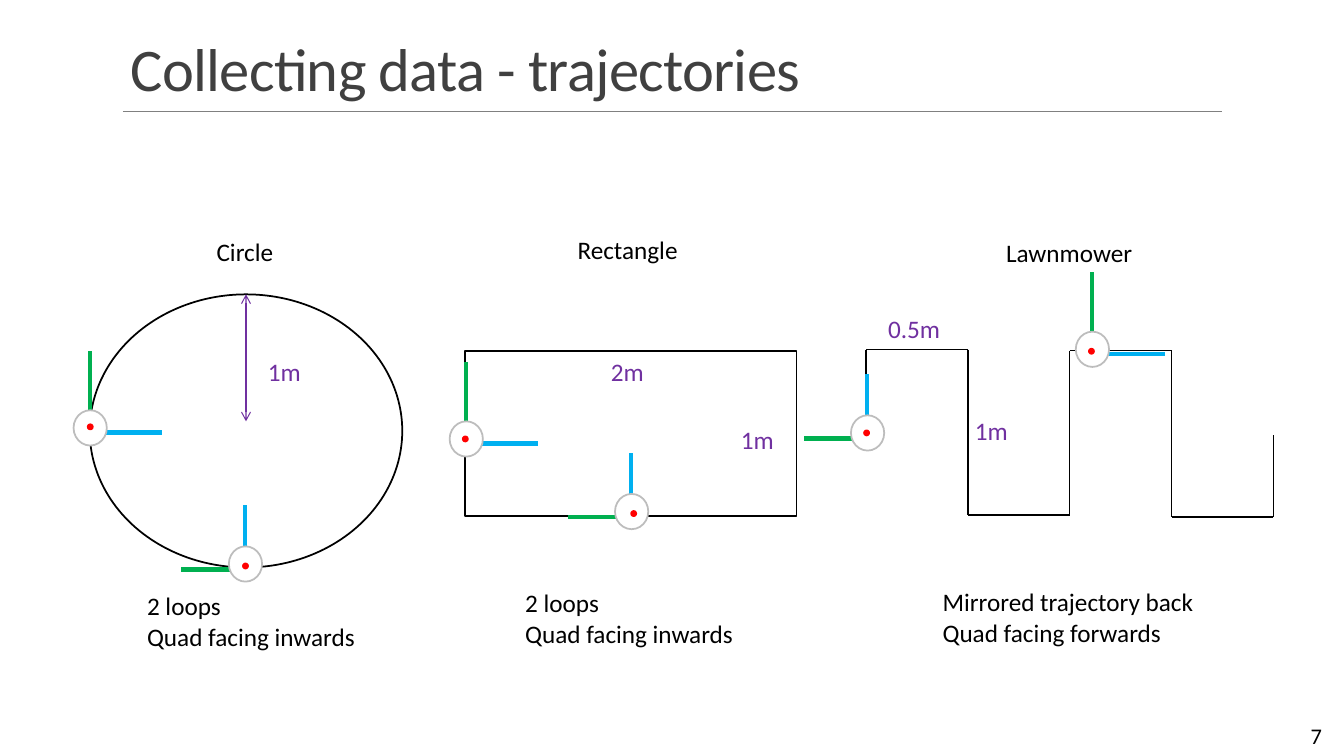
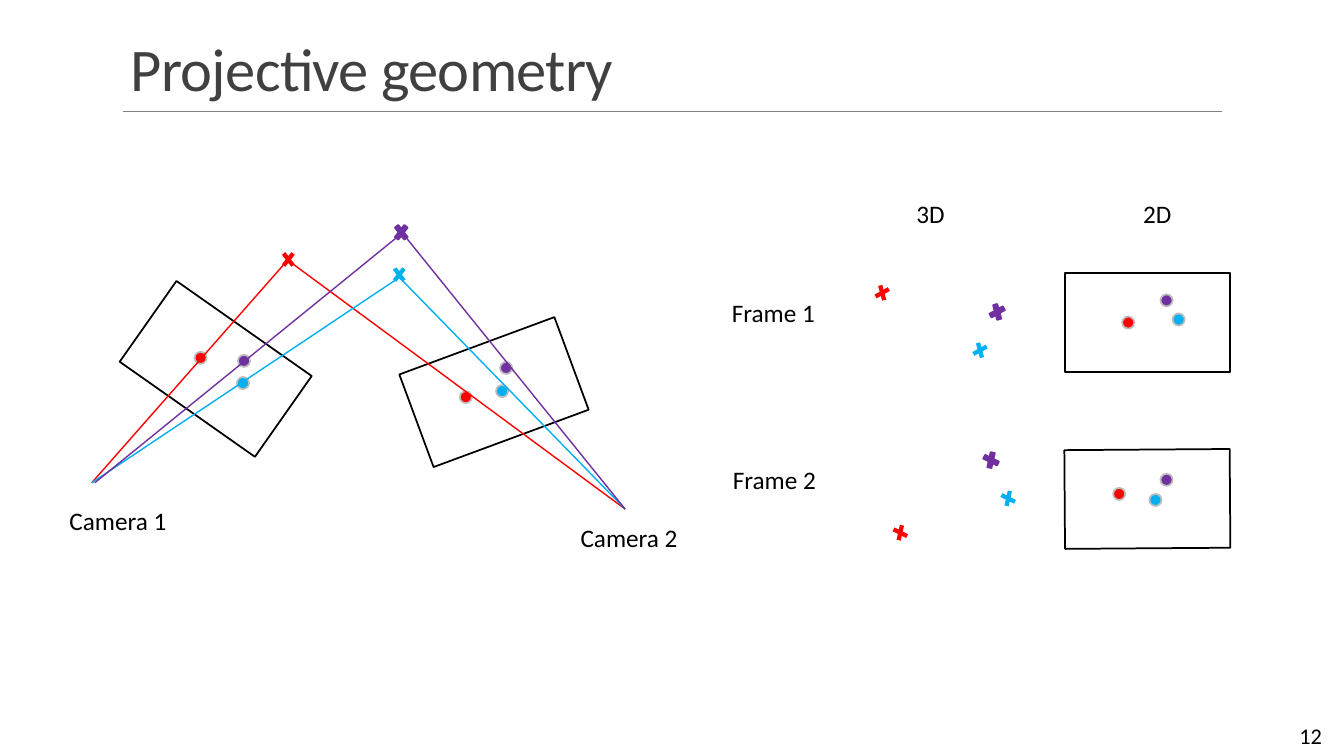
from lxml.etree import SubElement
from pptx import Presentation
from pptx.dml.color import RGBColor
from pptx.enum.shapes import MSO_CONNECTOR, MSO_SHAPE as SHAPE
from pptx.enum.text import MSO_ANCHOR as ANCHOR, MSO_AUTO_SIZE as AUTO_SIZE, PP_ALIGN as ALIGN
from pptx.oxml.ns import qn
from pptx.util import Emu, Pt

PX = 9144  # 100 px to the inch
BLACK = RGBColor(0x00, 0x00, 0x00)
WHITE = RGBColor(0xFF, 0xFF, 0xFF)
TITLE_GREY = RGBColor(0x40, 0x40, 0x40)
RULE_GREY = RGBColor(0x80, 0x80, 0x80)
RIM_GREY = RGBColor(0xBD, 0xBD, 0xBD)
RED = RGBColor(0xFF, 0x00, 0x00)
PURPLE = RGBColor(0x70, 0x30, 0xA0)
BLUE = RGBColor(0x00, 0xB0, 0xF0)
GREEN = RGBColor(0x00, 0xB0, 0x50)
LANDMARK_COLORS = (RED, PURPLE, BLUE)

BODY_FONT = {"name": "Calibri", "size": Pt(18)}
TITLE_FONT = {"name": "Calibri", "size": Pt(43.2)}
NUMBER_FONT = {"name": "Calibri", "size": Pt(16)}
LABEL_FRAME = {"word_wrap": False, "auto_size": AUTO_SIZE.SHAPE_TO_FIT_TEXT}
TITLE_FRAME = {"word_wrap": True, "vertical_anchor": ANCHOR.BOTTOM}
NUMBER_FRAME = {"word_wrap": True, "vertical_anchor": ANCHOR.MIDDLE}


def px(*lengths):
    return [Emu(length * PX) for length in lengths]


def apply(target, values):
    for name, value in values.items():
        setattr(target, name, value)


def add_text(slide, box, lines, color=BLACK, font=BODY_FONT, frame=LABEL_FRAME, **layout):
    """Write one paragraph per line; layout holds paragraph attributes."""
    text_frame = slide.shapes.add_textbox(*px(*box)).text_frame
    apply(text_frame, frame)
    for index, line in enumerate(lines):
        paragraph = text_frame.add_paragraph() if index else text_frame.paragraphs[0]
        apply(paragraph, layout)
        run = paragraph.add_run()
        run.text = line
        apply(run.font, font)
        run.font.color.rgb = color
    return text_frame


def add_figure(slide, kind, box, fill=WHITE, outline=BLACK, rotation=0):
    figure = slide.shapes.add_shape(kind, *px(*box))
    figure.shadow.inherit = False
    figure.rotation = rotation
    figure.fill.solid()
    figure.fill.fore_color.rgb = fill
    if outline is None:
        figure.line.fill.background()
    else:
        figure.line.color.rgb = outline
        figure.line.width = Pt(1.25)
    return figure


def add_line(slide, start, end, color=BLACK, width=1, arrows=False):
    line = slide.shapes.add_connector(MSO_CONNECTOR.STRAIGHT, *px(*start, *end))
    line.line.color.rgb = color
    line.line.width = Pt(width)
    properties = line._element.spPr
    if arrows:
        for tip in ("a:headEnd", "a:tailEnd"):
            SubElement(properties.find(qn("a:ln")), qn(tip), type="arrow")
    SubElement(properties, qn("a:effectLst"))
    return line


def add_base_slide(prs, title, number):
    slide = prs.slides.add_slide(prs.slide_layouts[6])
    add_line(slide, (122, 110), (1212, 110), RULE_GREY, 0.5)
    heading = add_text(slide, (120, 31, 1100, 77), [title], TITLE_GREY, TITLE_FONT,
                       TITLE_FRAME, line_spacing=0.85)
    heading.paragraphs[0].runs[0]._r.get_or_add_rPr().set("spc", "-50")
    add_text(slide, (1178, 710, 143, 40), [str(number)], font=NUMBER_FONT,
             frame=NUMBER_FRAME, alignment=ALIGN.RIGHT)
    return slide


def add_quad(slide, left, top, facing, dot):
    """Draw a quadcopter with its forward (blue) and left (green) axes."""
    x, y = left + 16, top + 23
    if facing == "right":
        green_end, blue_end = (x, y - 82), (x + 72, y - 1)
    else:
        green_end, blue_end = (x - 63, y), (x, y - 64)
    add_line(slide, (x, y), green_end, GREEN, 3)
    add_line(slide, (x, y - 1), blue_end, BLUE, 3)
    add_figure(slide, SHAPE.OVAL, (left, top, 33, 35), outline=RIM_GREY)
    add_figure(slide, SHAPE.OVAL, (*dot, 5, 5), RED, RED)


def add_lawnmower(slide):
    left, step = 859, 101
    turns = (429, 347, 511, 348, 513, 432)
    corners = []
    for column, (start, end) in enumerate(zip(turns, turns[1:])):
        x = left + step * column
        corners += [(x, start), (x, end)]
    for start, end in zip(corners, corners[1:]):
        add_line(slide, start, end)


def add_view(slide, left, top, rotation, dots):
    """Draw an image plane and the landmarks projected onto it."""
    add_figure(slide, SHAPE.RECTANGLE, (left, top, 164, 98), rotation=rotation)
    for dot, color in zip(dots, LANDMARK_COLORS):
        add_figure(slide, SHAPE.OVAL, (*dot, 12, 12), color, RIM_GREY)


def add_landmarks(slide, rotation, places):
    for place, color in zip(places, LANDMARK_COLORS):
        outline = PURPLE if color == PURPLE else None
        add_figure(slide, SHAPE.MATH_MULTIPLY, (*place, 18, 23), color, outline, rotation)


def build_trajectories(prs):
    slide = add_base_slide(prs, "Collecting data - trajectories", 7)
    circle = add_figure(slide, SHAPE.OVAL, (89, 292, 310, 271))
    add_figure(slide, SHAPE.RECTANGLE, (461, 348, 329, 164))
    add_lawnmower(slide)
    radius = add_line(slide, (244, 292), (244, 418), PURPLE, 0.75, arrows=True)
    radius.begin_connect(circle, 0)

    for box, name in (((205, 230, 77, 40), "Circle"),
                      ((563, 228, 121, 40), "Rectangle"),
                      ((988, 231, 147, 40), "Lawnmower")):
        add_text(slide, box, [name])
    for box, *lines in (((136, 581, 229, 71), "2 loops", "Quad facing inwards"),
                        ((511, 578, 229, 71), "2 loops", "Quad facing inwards"),
                        ((925, 577, 271, 71), "Mirrored trajectory back",
                         "Quad facing forwards")):
        add_text(slide, box, lines)
    for box, distance in (((256, 349, 53, 40), "1m"), ((725, 416, 53, 40), "1m"),
                          ((596, 349, 53, 40), "2m"), ((871, 306, 72, 40), "0.5m"),
                          ((957, 407, 53, 40), "1m")):
        add_text(slide, box, [distance], PURPLE)

    for left, top, facing, dot in ((73, 407, "right", (87, 421)),
                                   (446, 418, "right", (459, 433)),
                                   (844, 412, "up", (857, 427)),
                                   (610, 490, "up", (626, 507)),
                                   (227, 542, "up", (241, 559)),
                                   (1067, 329, "right", (1080, 346))):
        add_quad(slide, left, top, facing, dot)


def build_geometry(prs):
    slide = add_base_slide(prs, "Projective geometry", 12)
    for view in ((132, 317, 35.1, ((193, 349), (236, 352), (235, 374))),
                 (408, 340, 339.7, ((456, 388), (496, 359), (492, 382))),
                 (1056, 271, 0, ((1113, 314), (1151, 292), (1163, 311))),
                 (1056, 446, 359.6, ((1104, 484), (1151, 470), (1140, 490)))):
        add_view(slide, *view)
    for rotation, places in ((0, ((277, 246), (389, 219), (387, 261))),
                             (22.8, ((866, 279), (980, 298), (963, 336))),
                             (334.5, ((884, 517), (974, 445), (991, 483)))):
        add_landmarks(slide, rotation, places)

    camera_2 = (620, 505)
    for color, to_left, camera_1, to_right in (
            (RED, (281, 263), (91, 479), (288, 260)),
            (BLUE, (392, 278), (91, 479), (394, 273)),
            (PURPLE, (393, 236), (94, 479), (403, 236))):
        add_line(slide, to_left, camera_1, color)
        add_line(slide, to_right, camera_2, color)

    for box, label in (((716, 290, 103, 40), "Frame 1"), ((717, 456, 103, 40), "Frame 2"),
                       ((899, 192, 49, 40), "3D"), ((1124, 192, 49, 40), "2D"),
                       ((59, 496, 117, 40), "Camera 1"), ((566, 513, 117, 40), "Camera 2")):
        add_text(slide, box, [label])


def main():
    prs = Presentation()
    prs.slide_width, prs.slide_height = px(1333, 750)
    build_trajectories(prs)
    build_geometry(prs)
    prs.save("out.pptx")


if __name__ == "__main__":
    main()
